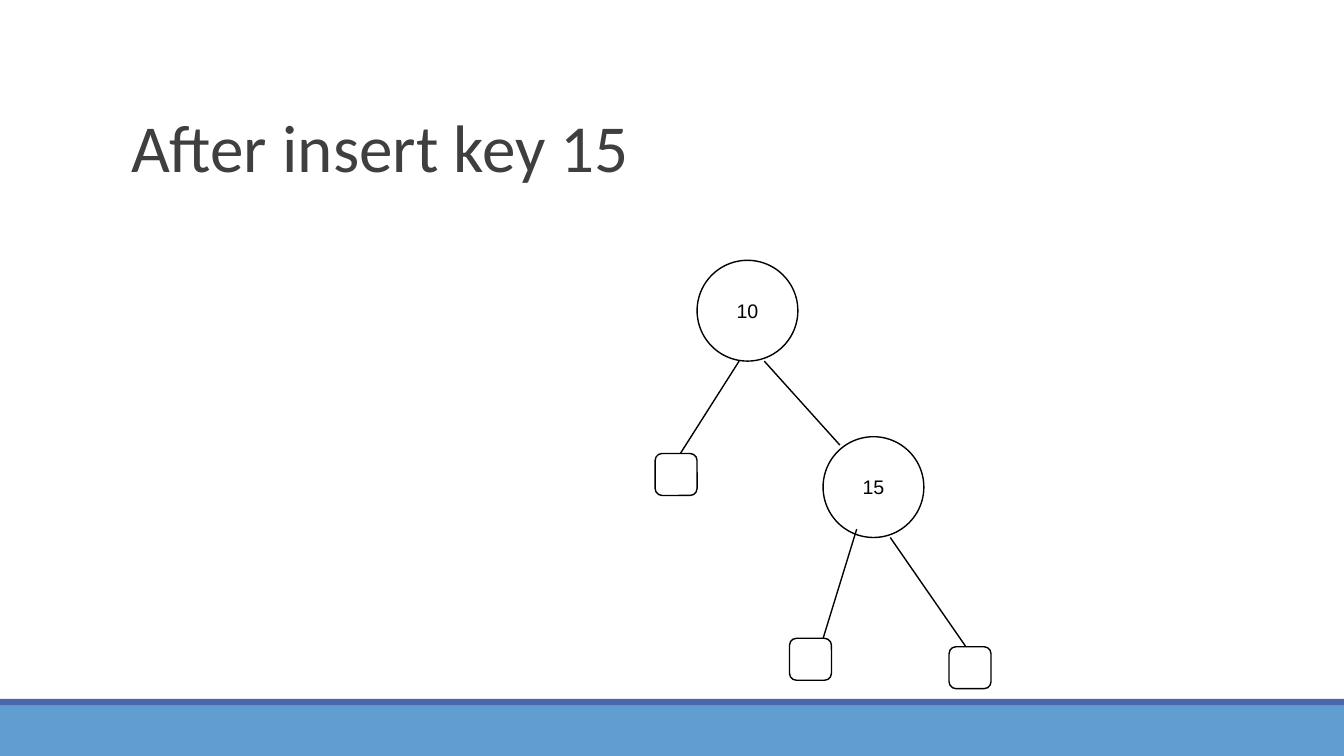
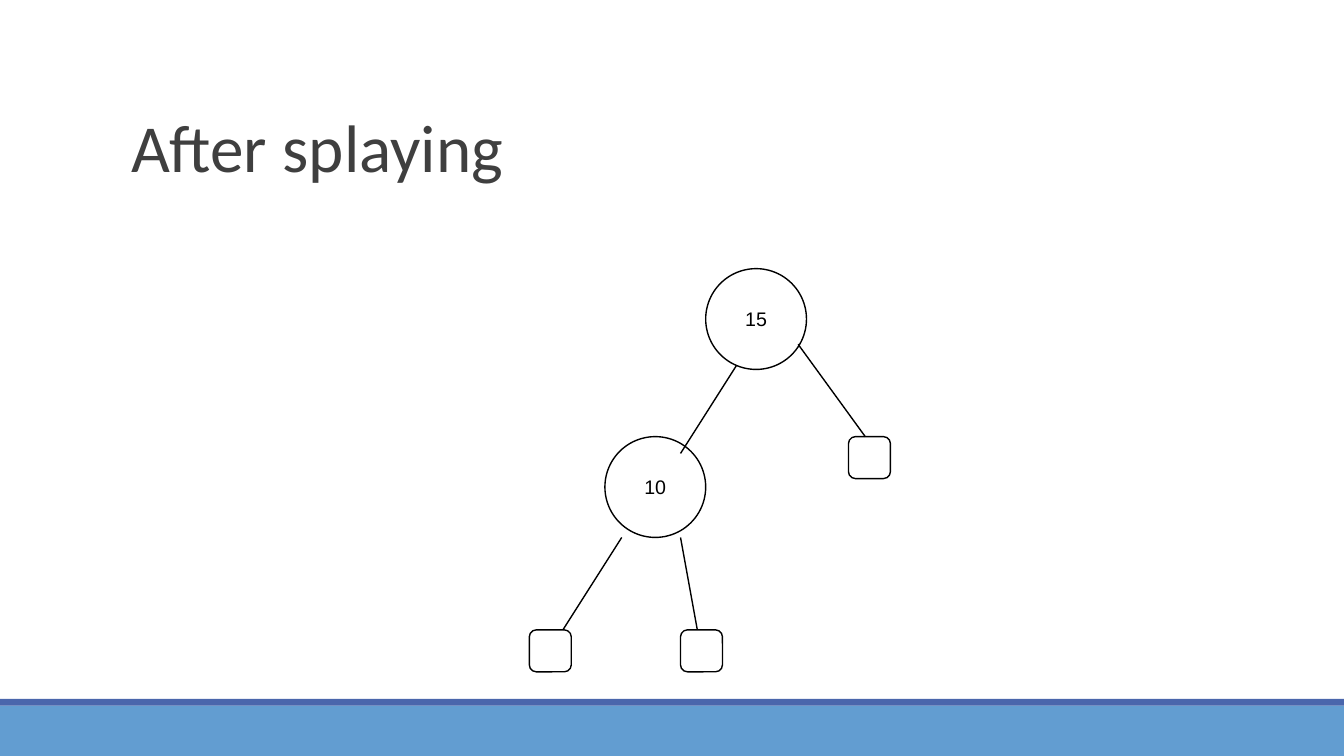
from dataclasses import dataclass

from lxml import etree
from pptx import Presentation
from pptx.dml.color import RGBColor
from pptx.enum.shapes import MSO_CONNECTOR, MSO_SHAPE
from pptx.enum.text import MSO_ANCHOR, MSO_AUTO_SIZE, PP_ALIGN
from pptx.oxml.ns import qn
from pptx.util import Cm, Pt

RECT, OVAL, ROUND = MSO_SHAPE.RECTANGLE, MSO_SHAPE.OVAL, MSO_SHAPE.ROUNDED_RECTANGLE
STRAIGHT = MSO_CONNECTOR.STRAIGHT
LEFT, CENTER = PP_ALIGN.LEFT, PP_ALIGN.CENTER
MIDDLE, BOTTOM = MSO_ANCHOR.MIDDLE, MSO_ANCHOR.BOTTOM
NO_FIT = MSO_AUTO_SIZE.NONE
TITLE_ONLY = 5


@dataclass(frozen=True)
class Theme:
    """Colours, fonts and type sizes of the deck."""
    band: RGBColor = RGBColor(0x62, 0x9D, 0xD1)
    stripe: RGBColor = RGBColor(0x4A, 0x66, 0xAC)
    title: RGBColor = RGBColor(0x3F, 0x3F, 0x3F)
    ink: RGBColor = RGBColor(0, 0, 0)
    paper: RGBColor = RGBColor(0xFF, 0xFF, 0xFF)
    title_font: str = "Calibri"
    key_font: str = "Arial"
    title_size: Pt = Pt(48)
    key_size: Pt = Pt(14)
    line: Pt = Pt(1)


THEME = Theme()
WIDTH, HEIGHT = Cm(33.87), Cm(19.05)
BAND_H, STRIPE_H = Cm(1.27), Cm(0.17)
TITLE_BOX = Cm(3.05), Cm(0.79), Cm(27.94), Cm(4.04)
GRID = Cm(2.54) / 12
NODE, LEAF = 12, 5

INSERTED = [
    ("node", (5, 0), "10"),
    ("leaf", (0, 23)),
    ("leaf", (16, 45)),
    ("edge", (10, 12), (3, 23)),
    ("edge", (13, 12), (22, 22)),
    ("leaf", (35, 46)),
    ("node", (20, 21), "15"),
    ("edge", (24, 32), (20, 45)),
    ("edge", (28, 33), (37, 46)),
]
SPLAYED = [
    ("node", (9, 20), "10"),
    ("leaf", (0, 43)),
    ("leaf", (18, 43)),
    ("edge", (25, 11), (18, 22)),
    ("leaf", (38, 20)),
    ("node", (21, 0), "15"),
    ("edge", (11, 32), (4, 43)),
    ("edge", (32, 9), (40, 20)),
    ("edge", (18, 32), (20, 43)),
]
SLIDES = [
    ("After insert key 15", (Cm(16.51), Cm(6.56)), INSERTED),
    ("After splaying", (Cm(13.34), Cm(6.77)), SPLAYED),
]


def style_text(tf, text, font, size, color, align, anchor):
    """Write one paragraph in the given style."""
    tf.text = text
    tf.vertical_anchor = anchor
    p = tf.paragraphs[0]
    p.alignment = align
    f = p.runs[0].font
    f.name, f.size, f.color.rgb = font, size, color
    return p


def add_box(shapes, kind, left, top, width, height, fill, outline=None):
    """Add a flat shape with an optional outline."""
    sp = shapes.add_shape(kind, left, top, width, height)
    sp.shadow.inherit = False
    sp.fill.solid()
    sp.fill.fore_color.rgb = fill
    if outline is None:
        sp.line.fill.background()
    else:
        sp.line.color.rgb = outline
        sp.line.width = THEME.line
    return sp


def add_bands(slide):
    """Place the footer bands on the layout behind the slide."""
    top = HEIGHT - BAND_H
    bands = [
        (top, BAND_H, THEME.band),
        (top - STRIPE_H, STRIPE_H, THEME.stripe),
    ]
    tree = slide.slide_layout.shapes.element
    for i, (y, height, color) in enumerate(bands):
        sp = add_box(slide.shapes, RECT, 0, y, WIDTH, height, color)
        sp.element.nvSpPr.cNvPr.set("id", str(20 + i))
        tree.insert(2 + i, sp.element)


def add_title(slide, text, box):
    """Place and format the title placeholder."""
    sp = slide.shapes.title
    sp.left, sp.top, sp.width, sp.height = box
    tf = sp.text_frame
    tf.auto_size = NO_FIT
    p = style_text(tf, text, THEME.title_font, THEME.title_size,
                   THEME.title, LEFT, BOTTOM)
    p.line_spacing = 0.85


def add_node(shapes, left, top, key):
    """Add a round tree node that shows its key."""
    size = round(NODE * GRID)
    sp = add_box(shapes, OVAL, left, top, size, size, THEME.paper, THEME.ink)
    style_text(sp.text_frame, key, THEME.key_font, THEME.key_size,
               THEME.ink, CENTER, MIDDLE)


def add_leaf(shapes, left, top):
    """Add an empty external node."""
    size = round(LEAF * GRID)
    add_box(shapes, ROUND, left, top, size, size, THEME.paper, THEME.ink)


def add_edge(shapes, x1, y1, x2, y2):
    """Add a line from parent to child."""
    line = shapes.add_connector(STRAIGHT, x1, y1, x2, y2)
    line.line.color.rgb = THEME.ink
    line.line.width = THEME.line
    etree.SubElement(line.element.spPr, qn("a:effectLst"))


def add_tree(slide, origin, parts):
    """Draw the tree parts, in paint order, on a grid from the origin."""
    def at(cell):
        return [round(o + c * GRID) for o, c in zip(origin, cell)]

    for kind, cell, *rest in parts:
        if kind == "node":
            add_node(slide.shapes, *at(cell), rest[0])
        elif kind == "leaf":
            add_leaf(slide.shapes, *at(cell))
        else:
            add_edge(slide.shapes, *at(cell), *at(rest[0]))


def main():
    """Build the deck and save it."""
    prs = Presentation()
    prs.slide_width, prs.slide_height = WIDTH, HEIGHT
    layout = prs.slide_layouts[TITLE_ONLY]
    for title, origin, parts in SLIDES:
        slide = prs.slides.add_slide(layout)
        add_title(slide, title, TITLE_BOX)
        add_tree(slide, origin, parts)
    add_bands(prs.slides[0])
    prs.save("out.pptx")


if __name__ == "__main__":
    main()
